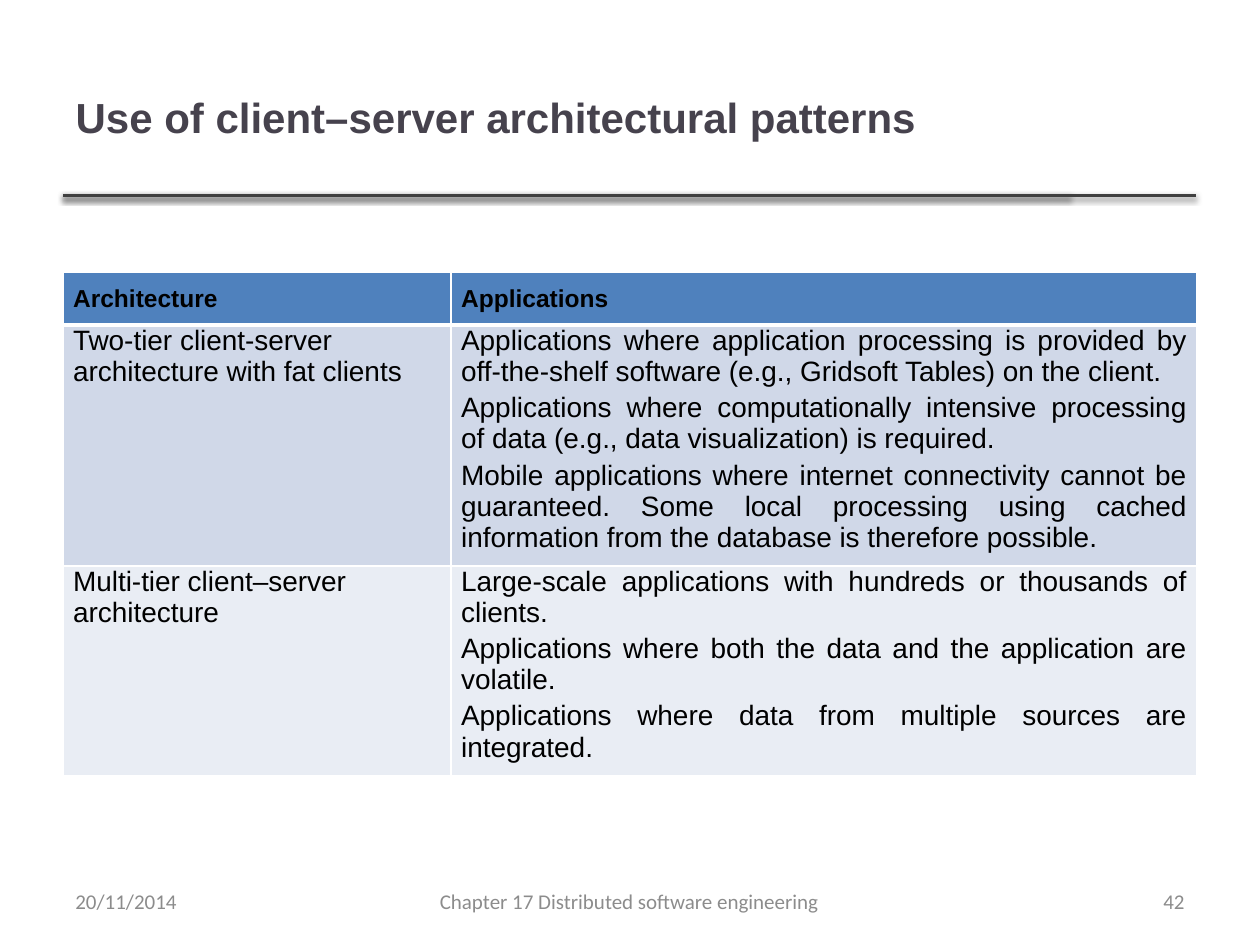
from typing import NamedTuple

import lxml.etree
import pptx
import pptx.dml.color
import pptx.enum.shapes
import pptx.enum.text
import pptx.oxml
import pptx.oxml.ns
import pptx.util

Inches = pptx.util.Inches
Pt = pptx.util.Pt
RGBColor = pptx.dml.color.RGBColor
Align = pptx.enum.text.PP_ALIGN
Anchor = pptx.enum.text.MSO_ANCHOR

INK = RGBColor(0x46, 0x42, 0x4D)
BLACK = RGBColor(0, 0, 0)
WHITE = RGBColor(0xFF, 0xFF, 0xFF)
GREY = RGBColor(0x8C, 0x8C, 0x8C)
RULE = RGBColor(0x40, 0x40, 0x40)
BLUE = RGBColor(0x4F, 0x81, 0xBD)
BAND = RGBColor(0xD0, 0xD8, 0xE8)
PALE = RGBColor(0xE9, 0xED, 0xF4)

LEFT = 0.5
ROW = 0.41
COLS = (3.08, 5.92)


class Font(NamedTuple):
    """Look of a piece of text."""
    name: str
    size: int
    color: RGBColor
    bold: bool = False


class Row(NamedTuple):
    """One table row: its name, its uses and its fill."""
    name: str
    uses: tuple[str, ...]
    fill: RGBColor
    head: bool = False


class Note(NamedTuple):
    """One part of the footer."""
    left: float
    width: float
    text: str
    align: Align


ROWS = (
    Row("Architecture", ("Applications",), BLUE, True),
    Row("Two-tier client-server architecture with fat clients", (
        "Applications where application processing is provided by "
        "off-the-shelf software (e.g., Gridsoft Tables) on the client.",
        "Applications where computationally intensive processing of data "
        "(e.g., data visualization) is required.",
        "Mobile applications where internet connectivity cannot be "
        "guaranteed. Some local processing using cached information from "
        "the database is therefore possible.",
    ), BAND),
    Row("Multi-tier client–server architecture", (
        "Large-scale applications with hundreds or thousands of clients.",
        "Applications where both the data and the application are volatile.",
        "Applications where data from multiple sources are integrated.",
    ), PALE),
)

NOTES = (
    Note(2.83, 4.33, "Chapter 17 Distributed software engineering",
         Align.CENTER),
    Note(7.17, 2.33, "42", Align.RIGHT),
    Note(LEFT, 2.33, "20/11/2014", Align.LEFT),
)


def write(frame, lines: tuple[str, ...], font: Font, align: Align,
          after: int = 0) -> None:
    """Fill a text frame with one paragraph for each line."""
    frame.text = "\n".join(lines)
    for para in frame.paragraphs:
        para.alignment = align
        para.space_after = Pt(after)
        for run in para.runs:
            run.font.name = font.name
            run.font.size = Pt(font.size)
            run.font.bold = font.bold
            run.font.color.rgb = font.color


def draw_rule(slide, right: float) -> None:
    """Draw a rule with a soft shadow below the title."""
    line = slide.shapes.add_connector(
        pptx.enum.shapes.MSO_CONNECTOR.STRAIGHT,
        Inches(LEFT), Inches(1.55), Inches(right), Inches(1.55))
    line.line.color.rgb = RULE
    line.line.width = Pt(2)
    line._element.spPr.append(pptx.oxml.parse_xml(
        f'<a:effectLst {pptx.oxml.ns.nsdecls("a")}>'
        f'<a:outerShdw blurRad="{Pt(3.1)}" dist="{Pt(1.6)}" dir="5400000" '
        'rotWithShape="0"><a:srgbClr val="000000"><a:alpha val="38000"/>'
        '</a:srgbClr></a:outerShdw></a:effectLst>'))


def edge(cell, top: int, base: int) -> None:
    """Give a cell white borders, with the widths of top and base in points."""
    props = cell._tc.get_or_add_tcPr()
    sides = (("L", 1), ("R", 1), ("T", top), ("B", base))
    for place, (side, width) in enumerate(sides):
        props.insert(place, pptx.oxml.parse_xml(
            f'<a:ln{side} {pptx.oxml.ns.nsdecls("a")} w="{Pt(width)}">'
            f'<a:solidFill><a:srgbClr val="{WHITE}"/></a:solidFill>'
            f'</a:ln{side}>'))


def draw_table(slide) -> None:
    """Draw the table of patterns and their uses."""
    frame = slide.shapes.add_table(
        len(ROWS), len(COLS), Inches(LEFT), Inches(2.16),
        Inches(sum(COLS)), Inches(ROW * len(ROWS)))
    table = frame.table
    for column, width in zip(table.columns, COLS):
        column.width = Inches(width)
    for y, row in enumerate(ROWS):
        table.rows[y].height = Inches(ROW)
        font = Font("Arial", 14 if row.head else 16, BLACK, row.head)
        for x, lines in enumerate(((row.name,), row.uses)):
            cell = table.cell(y, x)
            cell.margin_left = cell.margin_right = Inches(0.08)
            cell.margin_top = Inches(0.1 if row.head else 0)
            cell.margin_bottom = Inches(0.1)
            cell.fill.solid()
            cell.fill.fore_color.rgb = row.fill
            edge(cell, 3 if y == 1 else 1, 3 if row.head else 1)
            align = Align.JUSTIFY if row.head or x else Align.LEFT
            write(cell.text_frame, lines, font, align,
                  3 if x and not row.head else 0)
    frame.height = Inches(4.27)


def draw_note(slide, note: Note) -> None:
    """Draw one part of the footer."""
    box = slide.shapes.add_textbox(
        Inches(note.left), Inches(6.95), Inches(note.width), Inches(0.4))
    box.text_frame.word_wrap = True
    box.text_frame.vertical_anchor = Anchor.MIDDLE
    write(box.text_frame, (note.text,), Font("Calibri", 12, GREY), note.align)


def main() -> None:
    """Build the slide and save it."""
    deck = pptx.Presentation()
    deck.slide_width, deck.slide_height = Inches(10), Inches(7.5)
    slide = deck.slides.add_slide(deck.slide_layouts[5])
    for right in (8.49, 9.49):
        draw_rule(slide, right)
    title = slide.shapes.title
    title.left, title.top = Inches(LEFT), Inches(0.3)
    title.width, title.height = Inches(7.98), Inches(1.25)
    title.text_frame.vertical_anchor = Anchor.MIDDLE
    write(title.text_frame, ("Use of client–server architectural patterns",),
          Font("Arial", 24, INK, True), Align.LEFT)
    draw_table(slide)
    for note in NOTES:
        draw_note(slide, note)
    deck.save("out.pptx")


main()
